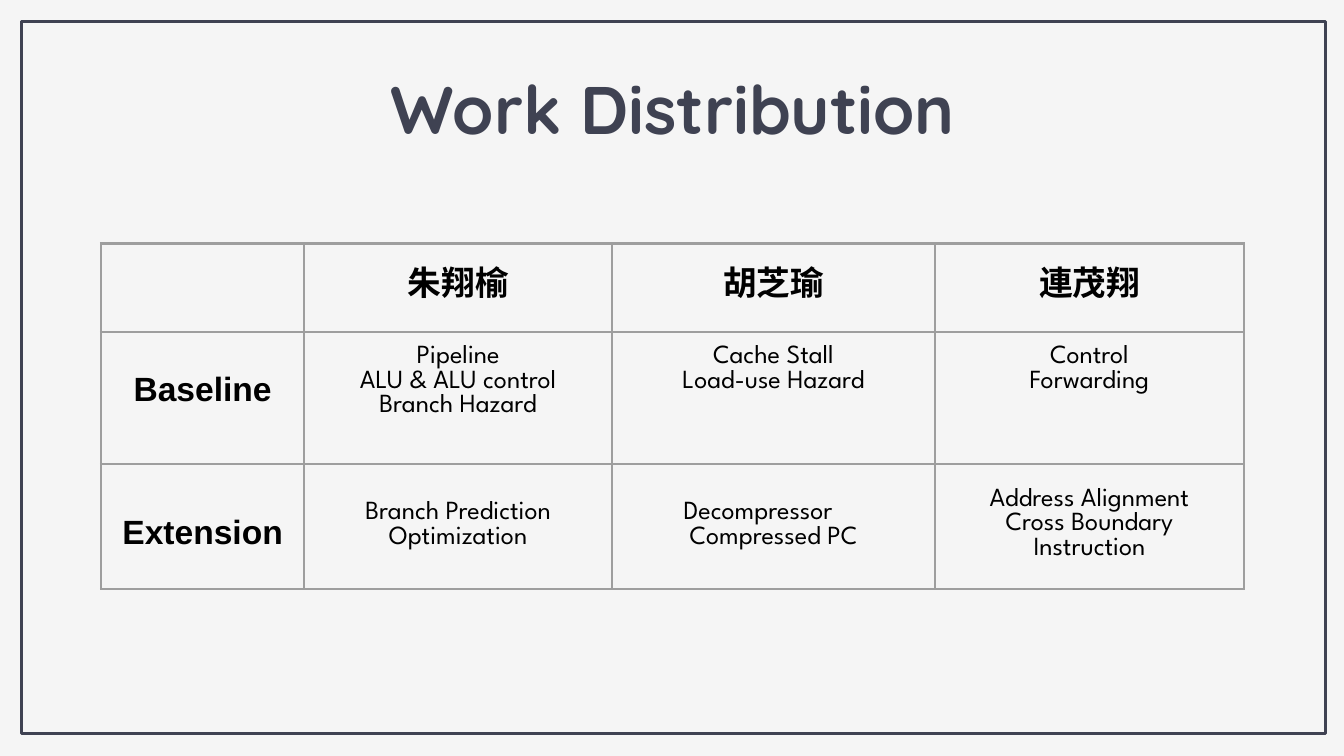
from dataclasses import dataclass

from lxml.etree import SubElement
from pptx import Presentation
from pptx.dml.color import RGBColor
from pptx.enum.shapes import MSO_SHAPE as Shape
from pptx.enum.text import MSO_ANCHOR as Anchor, MSO_AUTO_SIZE as AutoSize, PP_ALIGN as Align
from pptx.oxml.ns import qn
from pptx.util import Cm, Pt


@dataclass(frozen=True)
class Theme:
    paper: str = "F5F5F5"
    navy: str = "3F4252"
    ink: str = "000000"
    grid: str = "9E9E9E"
    title_font: str = "Quicksand"
    label_font: str = "Arial"
    task_font: str = "League Spartan"
    title_size: int = 36
    label_size: int = 18
    task_size: int = 14
    line_width: float = 1.5


THEME = Theme()
INSET = Cm(0.25)
COLUMN_WIDTHS = [3.84, 5.82, 6.1, 5.84]
ROW_HEIGHTS = [1.68, 2.49, 2.36]
ROWS = [
    ["", "朱翔榆", "胡芝瑜", "連茂翔"],
    [
        "Baseline",
        "Pipeline\nALU & ALU control\nBranch Hazard",
        "Cache Stall\nLoad-use Hazard",
        "Control\nForwarding",
    ],
    [
        "Extension",
        "Branch Prediction\nOptimization",
        "Decompressor\nCompressed PC",
        "Address Alignment\nCross Boundary Instruction",
    ],
]
TOP_MARGINS = [
    [0.25, 0.25, 0.25, 0.25],
    [0.74, 0.25, 0.25, 0.25],
    [0.94, 0.71, 0.71, 0.46],
]


def color(code):
    return RGBColor.from_string(code)


def style_text(frame, font, size, code, bold):
    for para in frame.paragraphs:
        para.alignment = Align.CENTER
        for span in para.runs:
            span.font.name = font
            span.font.size = Pt(size)
            span.font.bold = bold
            span.font.color.rgb = color(code)


def add_frame(page):
    box = page.shapes.add_shape(Shape.RECTANGLE, Cm(0.41), Cm(0.41), Cm(24.64), Cm(13.46))
    box.shadow.inherit = False
    box.fill.background()
    box.line.color.rgb = color(THEME.navy)
    box.line.width = Pt(THEME.line_width)


def set_title(page, text):
    title = page.shapes.title
    title.left, title.top, title.width, title.height = Cm(2.01), Cm(1.02), Cm(21.41), Cm(1.6)
    frame = title.text_frame
    frame.text = text
    frame.auto_size = AutoSize.NONE
    frame.vertical_anchor = Anchor.TOP
    frame.margin_left = frame.margin_right = frame.margin_top = frame.margin_bottom = INSET
    style_text(frame, THEME.title_font, THEME.title_size, THEME.navy, True)


def set_borders(cell):
    properties = cell._tc.get_or_add_tcPr()
    for position, side in enumerate(["a:lnL", "a:lnR", "a:lnT", "a:lnB"]):
        line = properties.makeelement(qn(side), {"w": str(int(Pt(THEME.line_width)))})
        fill = SubElement(line, qn("a:solidFill"))
        SubElement(fill, qn("a:srgbClr"), val=THEME.grid)
        properties.insert(position, line)


def fill_cell(cell, text, top_margin, is_label):
    cell.fill.background()
    set_borders(cell)
    cell.margin_left = cell.margin_right = cell.margin_bottom = INSET
    cell.margin_top = Cm(top_margin)
    cell.vertical_anchor = Anchor.TOP
    cell.text_frame.text = text
    font = THEME.label_font if is_label else THEME.task_font
    size = THEME.label_size if is_label else THEME.task_size
    style_text(cell.text_frame, font, size, THEME.ink, is_label)


def indent_left(para, indent):
    para.alignment = Align.LEFT
    para._p.get_or_add_pPr().set("marL", str(int(indent)))


def add_work_table(page):
    table = page.shapes.add_table(
        len(ROWS), len(COLUMN_WIDTHS), Cm(1.91), Cm(4.6),
        Cm(sum(COLUMN_WIDTHS)), Cm(sum(ROW_HEIGHTS)),
    ).table
    table.first_row = table.horz_banding = False
    for column, width in zip(table.columns, COLUMN_WIDTHS):
        column.width = Cm(width)
    for row, height in zip(table.rows, ROW_HEIGHTS):
        row.height = Cm(height)
    for r, (texts, margins) in enumerate(zip(ROWS, TOP_MARGINS)):
        for c, (text, margin) in enumerate(zip(texts, margins)):
            fill_cell(table.cell(r, c), text, margin, r == 0 or c == 0)
    indent_left(table.cell(2, 2).text_frame.paragraphs[0], Cm(1.1))


def main():
    deck = Presentation()
    deck.slide_width, deck.slide_height = Cm(25.4), Cm(14.29)
    page = deck.slides.add_slide(deck.slide_layouts[5])
    page.background.fill.solid()
    page.background.fill.fore_color.rgb = color(THEME.paper)
    add_frame(page)
    set_title(page, "Work Distribution")
    add_work_table(page)
    deck.save("out.pptx")


if __name__ == "__main__":
    main()
